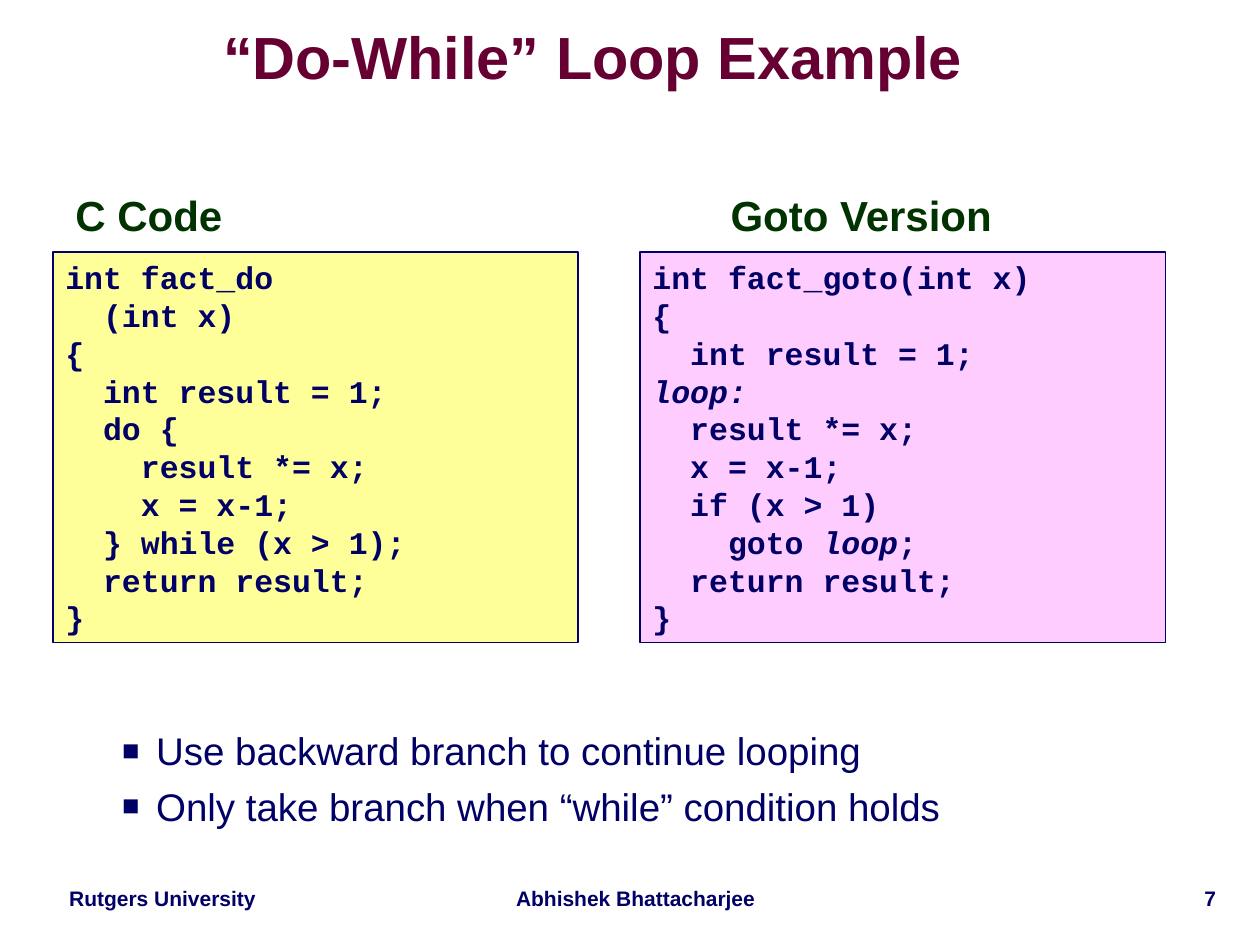
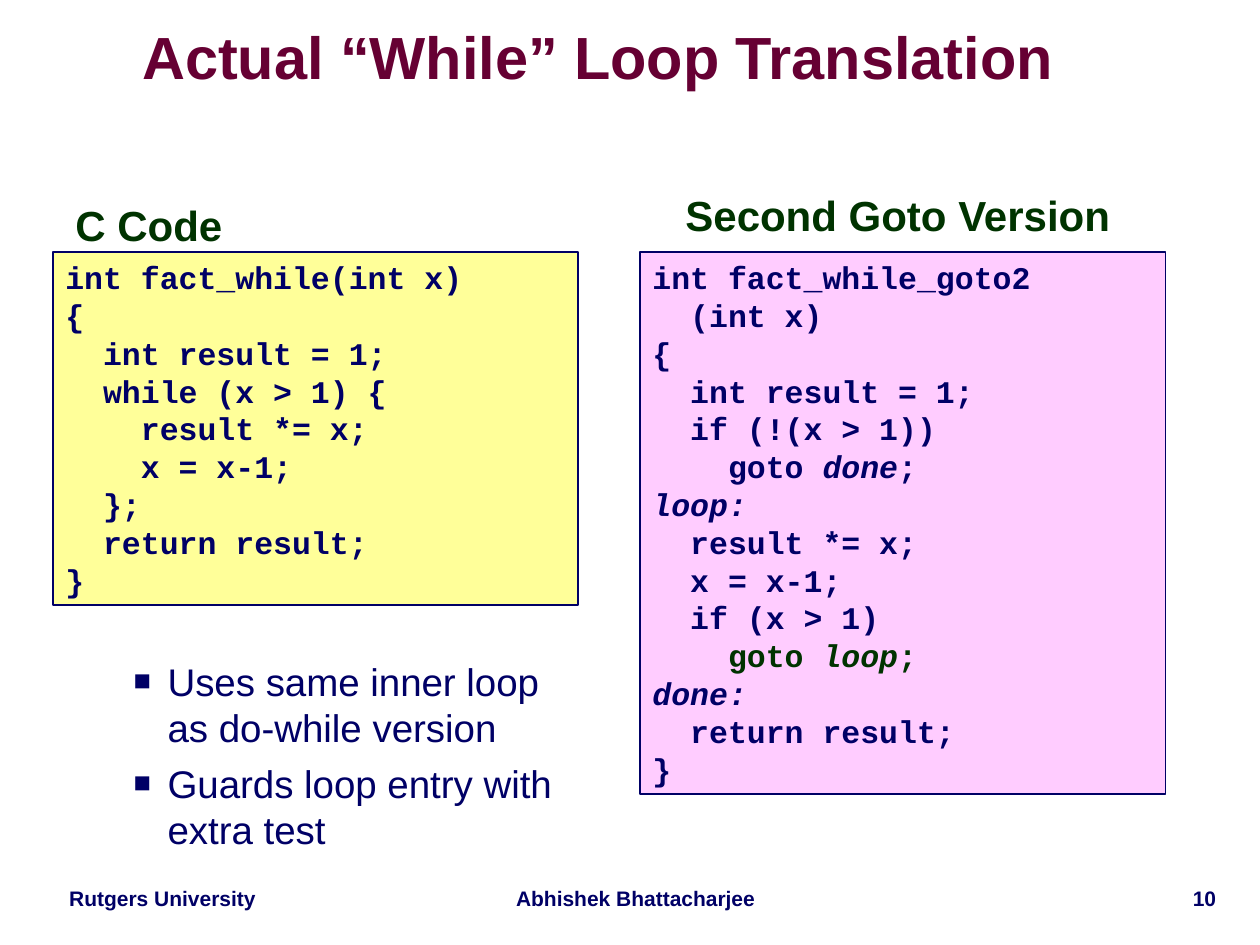
from lxml.etree import SubElement
from pptx import Presentation
from pptx.dml.color import RGBColor
from pptx.enum.shapes import MSO_SHAPE
from pptx.enum.text import MSO_ANCHOR, MSO_AUTO_SIZE as AUTO_SIZE, PP_ALIGN
from pptx.oxml.ns import qn
from pptx.util import Inches, Pt

COLOURS = {
    "text": "000066",
    "title": "660033",
    "heading": "003300",
    "c_code": "FFFF99",
    "goto_code": "FFCCFF",
}
TEXT_FONT, CODE_FONT = "Arial", "Courier New"
CODE_TOP, CODE_WIDTH = 2, 4.17
C_LEFT, GOTO_LEFT = 0.42, 5.08
CODE_LINE, CODE_PADDING = 0.3, 0.1

# Each code line is a list of runs: (text, italic, colour name)
def plain(*lines):
    return [[(line, False, "text")] for line in lines]


def label(name):
    return [[(name + ":", True, "text")]]


def goto(name, colour="text"):
    return [[("    goto", False, colour), (" " + name, True, colour),
             (";", False, colour)]]


DO_C = plain("int fact_do", "  (int x)", "{", "  int result = 1;", "  do {",
             "    result *= x;", "    x = x-1;", "  } while (x > 1);",
             "  return result;", "}")
WHILE_C = plain("int fact_while(int x)", "{", "  int result = 1;",
                "  while (x > 1) {", "    result *= x;", "    x = x-1;",
                "  };", "  return result;", "}")
LOOP_BODY = label("loop") + plain("  result *= x;", "  x = x-1;", "  if (x > 1)")
ENDING = plain("  return result;", "}")
DO_GOTO = (plain("int fact_goto(int x)", "{", "  int result = 1;")
           + LOOP_BODY + goto("loop") + ENDING)
WHILE_GOTO = (plain("int fact_while_goto2", "  (int x)", "{",
                    "  int result = 1;", "  if (!(x > 1))")
              + goto("done") + LOOP_BODY + goto("loop", "heading")
              + label("done") + ENDING)


def colour_of(name):
    return RGBColor.from_string(COLOURS[name])


def add_run(paragraph, text, size, colour="text", bold=True, italic=False,
            font=TEXT_FONT):
    run = paragraph.add_run()
    run.text = text
    run.font.name = font
    run.font.size = Pt(size)
    run.font.bold = bold
    run.font.italic = italic
    run.font.color.rgb = colour_of(colour)


def place(shape, left, top, width, height):
    shape.left, shape.top = Inches(left), Inches(top)
    shape.width, shape.height = Inches(width), Inches(height)


def set_margins(frame, horizontal, vertical):
    frame.margin_left = frame.margin_right = Inches(horizontal)
    frame.margin_top = frame.margin_bottom = Inches(vertical)


def add_title(slide, text, width):
    place(slide.shapes.title, 0.58, 0.17, width, 0.63)
    frame = slide.shapes.title.text_frame
    frame.auto_size = AUTO_SIZE.NONE
    frame.vertical_anchor = MSO_ANCHOR.MIDDLE
    set_margins(frame, 0, 0)
    paragraph = frame.paragraphs[0]
    paragraph.alignment = PP_ALIGN.CENTER
    paragraph.line_spacing = 0.87
    add_run(paragraph, text, 34, "title")


def add_label(slide, text, box, size, alignment, colour="text"):
    shape = slide.shapes.add_textbox(*[Inches(value) for value in box])
    frame = shape.text_frame
    frame.word_wrap = True
    paragraph = frame.paragraphs[0]
    paragraph.alignment = alignment
    paragraph.line_spacing = 0.9
    add_run(paragraph, text, size, colour)
    return paragraph


def add_heading(slide, text, box, alignment):
    paragraph = add_label(slide, text, box, 24, alignment, "heading")
    paragraph.space_before = Pt(7.2)
    set_indent(paragraph, 0.24, 0.24)


def set_indent(paragraph, left, hanging):
    properties = paragraph._p.get_or_add_pPr()
    properties.set("marL", str(Inches(left)))
    properties.set("indent", str(-Inches(hanging)))
    return properties


def add_code(slide, lines, left, fill):
    height = len(lines) * CODE_LINE + CODE_PADDING
    shape = slide.shapes.add_shape(
        MSO_SHAPE.RECTANGLE, Inches(left), Inches(CODE_TOP),
        Inches(CODE_WIDTH), Inches(height))
    shape.shadow.inherit = False
    shape.fill.solid()
    shape.fill.fore_color.rgb = colour_of(fill)
    shape.line.color.rgb = colour_of("text")
    shape.line.width = Pt(1)
    frame = shape.text_frame
    frame.word_wrap = True
    frame.vertical_anchor = MSO_ANCHOR.TOP
    set_margins(frame, 0.1, 0.05)
    for index, line in enumerate(lines):
        paragraph = frame.add_paragraph() if index else frame.paragraphs[0]
        paragraph.alignment = PP_ALIGN.LEFT
        paragraph.line_spacing = Pt(CODE_LINE * 72)
        for text, italic, colour in line:
            add_run(paragraph, text, 18, colour, italic=italic, font=CODE_FONT)


def add_bullets(slide, items, box):
    body = slide.placeholders[1]
    place(body, *box)
    frame = body.text_frame
    frame.auto_size = AUTO_SIZE.NONE
    set_margins(frame, 0.1, 0.05)
    for index, item in enumerate(items):
        paragraph = frame.add_paragraph() if index else frame.paragraphs[0]
        paragraph.level = 1
        paragraph.space_before = Pt(5.5)
        properties = set_indent(paragraph, 0.81, 0.27)
        SubElement(properties, qn("a:buSzPct"), val="75000")
        SubElement(properties, qn("a:buFont"), typeface=TEXT_FONT)
        SubElement(properties, qn("a:buChar"), char="■")
        add_run(paragraph, item, 22, bold=False)


def add_footer(slide, number):
    centre, right = PP_ALIGN.CENTER, PP_ALIGN.RIGHT
    add_label(slide, "Rutgers University", (0.33, 7, 1.92, 0.28), 12, centre)
    add_label(slide, "Abhishek Bhattacharjee", (3.92, 7, 2.25, 0.28), 12, centre)
    add_label(slide, number, (8.17, 7, 1.58, 0.3), 12, right)


def add_comparison(presentation, title, title_width, number, c_top, c_lines,
                   goto_heading, goto_box, goto_lines, bullets, bullet_box):
    slide = presentation.slides.add_slide(presentation.slide_layouts[1])
    add_footer(slide, number)
    # C code on the left, its goto translation on the right
    add_heading(slide, "C Code", (0.5, c_top, 2.85, 0.45), PP_ALIGN.LEFT)
    add_code(slide, c_lines, C_LEFT, "c_code")
    add_heading(slide, goto_heading, goto_box, PP_ALIGN.CENTER)
    add_code(slide, goto_lines, GOTO_LEFT, "goto_code")
    # Title and remarks
    add_title(slide, title, title_width)
    add_bullets(slide, bullets, bullet_box)


def main():
    presentation = Presentation()
    presentation.slide_width = Inches(10)
    presentation.slide_height = Inches(7.5)
    add_comparison(
        presentation, "“Do-While” Loop Example", 8.25, "7", 1.5, DO_C,
        "Goto Version", (5.58, 1.5, 2.51, 0.45), DO_GOTO,
        ["Use backward branch to continue looping",
         "Only take branch when “while” condition holds"],
        (0.33, 5.72, 9.06, 0.94))
    add_comparison(
        presentation, "Actual “While” Loop Translation", 8.33, "10", 1.58,
        WHILE_C, "Second Goto Version", (5.25, 1.5, 3.75, 0.45), WHILE_GOTO,
        ["Uses same inner loop as do-while version",
         "Guards loop entry with extra test"],
        (0.42, 5.17, 4.08, 2))
    presentation.save("out.pptx")


main()
